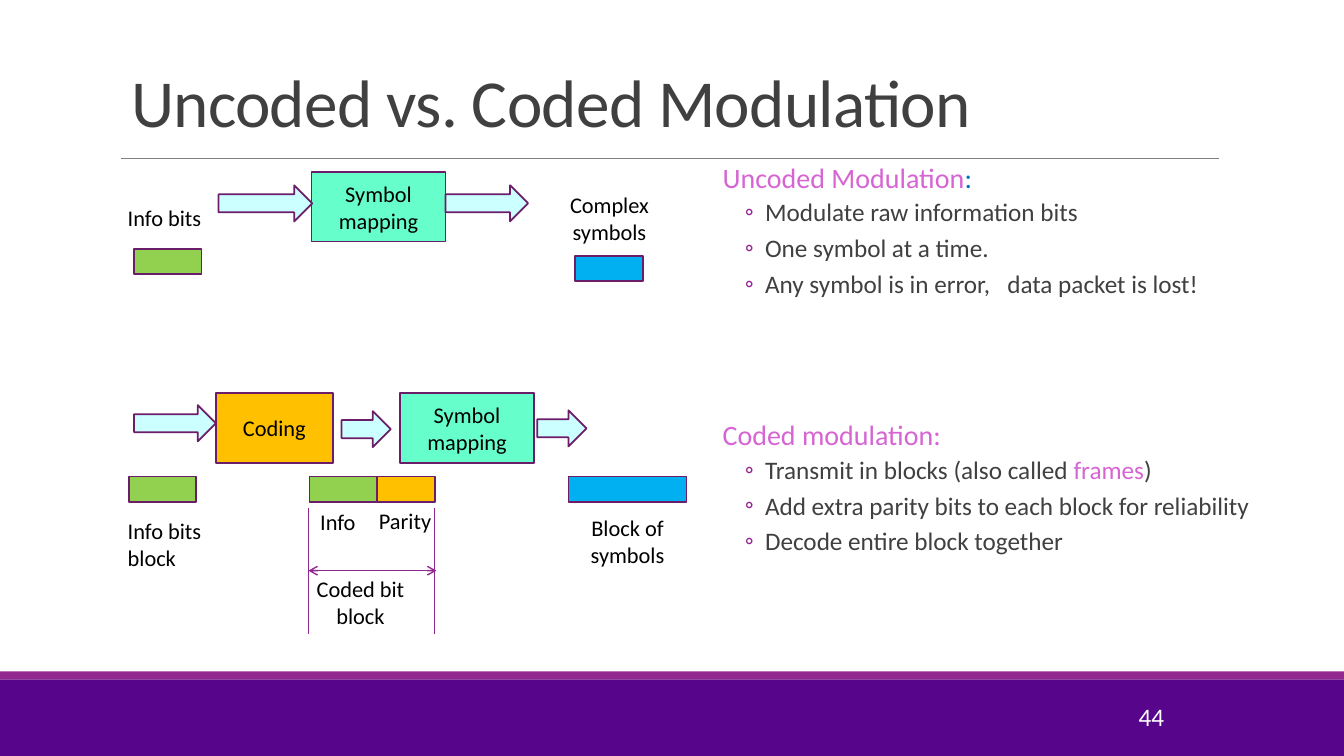
"""Builds the slide comparing uncoded and coded modulation."""
from dataclasses import dataclass

from lxml.etree import SubElement
from pptx import Presentation
from pptx.dml.color import RGBColor
from pptx.enum.shapes import MSO_CONNECTOR as Connector, MSO_SHAPE as Preset
from pptx.enum.text import MSO_ANCHOR as Anchor, MSO_AUTO_SIZE as AutoSize, PP_ALIGN as Align
from pptx.oxml.ns import qn
from pptx.util import Cm, Pt


@dataclass(frozen=True)
class Theme:
    font: str = "Calibri"
    text: str = "404040"
    black: str = "000000"
    white: str = "FFFFFF"
    accent: str = "D665D3"
    colon: str = "0070C0"
    purple: str = "92278F"
    outline: str = "6C1D6A"
    footer: str = "57068C"
    rule: str = "808080"
    info: str = "92D050"
    parity: str = "FFC000"
    symbols: str = "00B0F0"
    mapping: str = "66FFCC"
    arrow: str = "CCFFFF"
    title_size: int = 48
    heading_size: int = 20
    bullet_size: int = 18
    label_size: int = 16


THEME = Theme()
WIDTH, HEIGHT = 33.87, 19.05
FOOTER_TOP, STRIPE_HEIGHT = 17.12, 0.2
BOX_HEIGHT, ARROW_HEIGHT, BAR_HEIGHT = 1.75, 0.91, 0.64
LINE_HEIGHT, LABEL_PADDING = 0.69, 0.25

TITLE = "Uncoded vs. Coded Modulation"
PAGE_NUMBER = "44"

# (space before heading, heading runs, bullets); a run is (text, colour, letter spacing)
SECTIONS = [
    (12, [("Uncoded Modulation", THEME.accent, 0), (":", THEME.colon, 0)], [
        [("Modulate raw information bits", THEME.text, 0)],
        [("One symbol at a time.", THEME.text, 0)],
        [("Any symbol is in error,", THEME.text, 0), (" ", THEME.text, 800),
         ("data packet is lost!", THEME.text, 0)],
    ]),
    (84, [("Coded modulation:", THEME.accent, 0)], [
        [("Transmit in blocks (also called ", THEME.text, 0), ("frames", THEME.accent, 0),
         (")", THEME.text, 0)],
        [("Add extra parity bits to each block for reliability", THEME.text, 0)],
        [("Decode entire block together", THEME.text, 0)],
    ]),
]

STAGES = [
    ("Symbol\vmapping", 7.85, 4.34, 3.38, THEME.mapping),
    ("Coding", 5.44, 9.91, 2.95, THEME.parity),
    ("Symbol\vmapping", 10.08, 9.91, 3.38, THEME.mapping),
]
ARROWS = [(5.51, 4.67, 2.36), (11.23, 4.67, 2.08),
          (3.38, 10.21, 2.06), (8.61, 10.36, 1.24), (13.54, 10.34, 1.24)]
BARS = [
    (3.38, 6.27, 1.7, THEME.info), (14.5, 6.45, 1.7, THEME.symbols),
    (3.25, 12.01, 1.7, THEME.info), (7.8, 12.01, 1.7, THEME.info),
    (9.5, 12.01, 1.47, THEME.parity), (14.33, 12.01, 2.97, THEME.symbols),
]
LABELS = [
    ("Info bits", 2.97, 5.03, 2.54, 1, Align.LEFT),
    ("Complex symbols", 13.67, 4.7, 3.38, 2, Align.CENTER),
    ("Info bits block", 2.97, 12.9, 3.33, 2, Align.LEFT),
    ("Info", 7.82, 12.67, 1.63, 1, Align.LEFT),
    ("Parity", 9.3, 12.65, 2.11, 1, Align.LEFT),
    ("Coded bit block", 7.42, 14.38, 3.33, 2, Align.CENTER),
    ("Block of symbols", 14.15, 12.83, 3.33, 2, Align.CENTER),
]
BLOCK_EDGES, EDGE_TOP, EDGE_BOTTOM = (7.77, 10.95), 12.8, 15.98
SPAN_RIGHT, SPAN_Y = 11.0, 14.38
RULE_LEFT, RULE_RIGHT, RULE_Y = 3.05, 30.73, 3.99


def rgb(colour):
    return RGBColor.from_string(colour)


def style(run, size, colour, spacing=0):
    run.font.name, run.font.size = THEME.font, Pt(size)
    run.font.color.rgb = rgb(colour)
    if spacing:
        run._r.get_or_add_rPr().set("spc", str(spacing))


def write(frame, text, size, colour, align):
    paragraph = frame.paragraphs[0]
    paragraph.text, paragraph.alignment = text, align
    for run in paragraph.runs:
        style(run, size, colour)
    return paragraph


def place(item, left, top, width, height):
    item.left, item.top, item.width, item.height = map(Cm, (left, top, width, height))


def add_block(slide, preset, left, top, width, height, fill, outline=None):
    block = slide.shapes.add_shape(preset, *map(Cm, (left, top, width, height)))
    block.shadow.inherit = False
    block.fill.solid()
    block.fill.fore_color.rgb = rgb(fill)
    if outline:
        block.line.color.rgb, block.line.width = rgb(outline), Pt(1.25)
    else:
        block.line.fill.background()
    return block


def add_line(slide, start, end, colour, width, arrows=False):
    line = slide.shapes.add_connector(Connector.STRAIGHT, *map(Cm, start + end))
    line.line.color.rgb, line.line.width = rgb(colour), Pt(width)
    if arrows:
        for tag in ("a:headEnd", "a:tailEnd"):
            SubElement(line.line._get_or_add_ln(), qn(tag), type="arrow")
    SubElement(line._element.spPr, qn("a:effectLst"))


def add_label(slide, text, left, top, width, height, size, colour, align):
    label = slide.shapes.add_textbox(*map(Cm, (left, top, width, height)))
    label.text_frame.word_wrap = True
    write(label.text_frame, text, size, colour, align)
    return label.text_frame


def add_item(paragraph, runs, size, before, after, margin, indent, bullet=None):
    paragraph.line_spacing = 0.9
    paragraph.space_before, paragraph.space_after = Pt(before), Pt(after)
    properties = paragraph._p.get_or_add_pPr()
    properties.set("marL", str(Cm(margin)))
    properties.set("indent", str(Cm(indent)))
    if bullet:
        SubElement(SubElement(properties, qn("a:buClr")), qn("a:srgbClr"), val=THEME.purple)
        SubElement(properties, qn("a:buFont"), typeface=THEME.font)
        SubElement(properties, qn("a:buChar"), char=bullet)
    else:
        SubElement(properties, qn("a:buNone"))
    for text, colour, spacing in runs:
        run = paragraph.add_run()
        run.text = text
        style(run, size, colour, spacing)


def fill_title(title):
    place(title, 3.05, 0.79, 27.94, 2.9)
    frame = title.text_frame
    frame.auto_size, frame.vertical_anchor = AutoSize.NONE, Anchor.BOTTOM
    heading = write(frame, TITLE, THEME.title_size, THEME.text, Align.LEFT)
    heading.line_spacing = 0.85
    heading.runs[0]._r.get_or_add_rPr().set("spc", "-50")


def fill_body(body):
    place(body, 18.21, 4.01, 13.67, 12.7)
    frame = body.text_frame
    frame.auto_size, frame.vertical_anchor = AutoSize.NONE, Anchor.TOP
    frame.margin_left = frame.margin_right = 0
    for index, (before, heading, bullets) in enumerate(SECTIONS):
        paragraph = frame.add_paragraph() if index else frame.paragraphs[0]
        add_item(paragraph, heading, THEME.heading_size, before, 2, 0.25, -0.25)
        for runs in bullets:
            paragraph = frame.add_paragraph()
            paragraph.level = 1
            add_item(paragraph, runs, THEME.bullet_size, 2, 4, 1.07, -0.51, "◦")


def main():
    deck = Presentation()
    deck.slide_width, deck.slide_height = Cm(WIDTH), Cm(HEIGHT)
    slide = deck.slides.add_slide(deck.slide_layouts[1])
    fill_title(slide.shapes.title)
    fill_body(slide.placeholders[1])
    add_block(slide, Preset.RECTANGLE, 0, FOOTER_TOP, WIDTH, HEIGHT - FOOTER_TOP, THEME.footer)
    add_block(slide, Preset.RECTANGLE, 0, FOOTER_TOP - STRIPE_HEIGHT, WIDTH, STRIPE_HEIGHT, THEME.purple)
    add_line(slide, (RULE_LEFT, RULE_Y), (RULE_RIGHT, RULE_Y), THEME.rule, 0.5)
    number = add_label(slide, PAGE_NUMBER, 25.96, 17.55, 3.63, 1.02,
                       THEME.bullet_size, THEME.white, Align.RIGHT)
    number.vertical_anchor = Anchor.MIDDLE
    for text, left, top, width, fill in STAGES:
        stage = add_block(slide, Preset.RECTANGLE, left, top, width, BOX_HEIGHT, fill, THEME.outline)
        stage.text_frame.vertical_anchor = Anchor.MIDDLE
        write(stage.text_frame, text, THEME.label_size, THEME.black, Align.CENTER)
    for left, top, width in ARROWS:
        add_block(slide, Preset.RIGHT_ARROW, left, top, width, ARROW_HEIGHT, THEME.arrow, THEME.outline)
    for left, top, width, fill in BARS:
        add_block(slide, Preset.RECTANGLE, left, top, width, BAR_HEIGHT, fill, THEME.outline)
    for text, left, top, width, lines, align in LABELS:
        height = LINE_HEIGHT * lines + LABEL_PADDING
        label = add_label(slide, text, left, top, width, height, THEME.label_size, THEME.black, align)
        label.auto_size = AutoSize.SHAPE_TO_FIT_TEXT
    for edge in BLOCK_EDGES:
        add_line(slide, (edge, EDGE_TOP), (edge, EDGE_BOTTOM), THEME.purple, 1)
    add_line(slide, (BLOCK_EDGES[0], SPAN_Y), (SPAN_RIGHT, SPAN_Y), THEME.purple, 1, arrows=True)
    deck.save("out.pptx")


if __name__ == "__main__":
    main()
